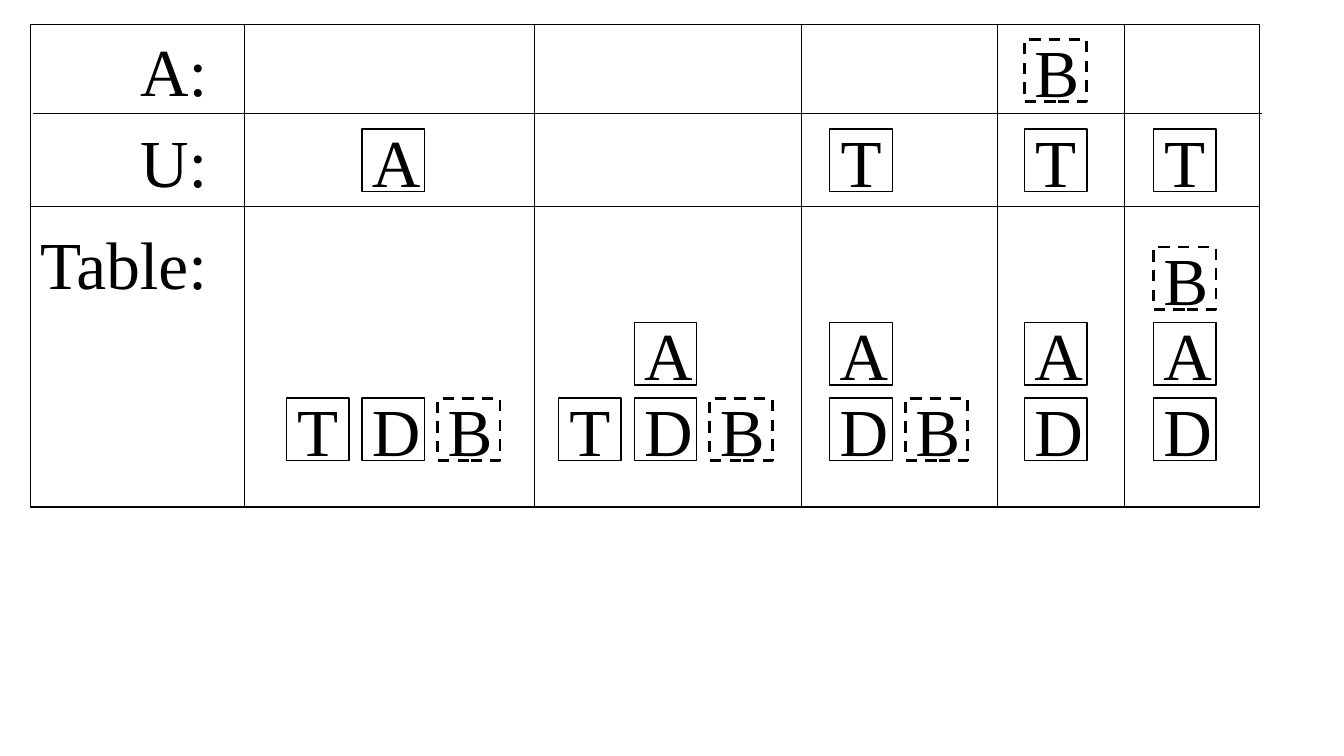
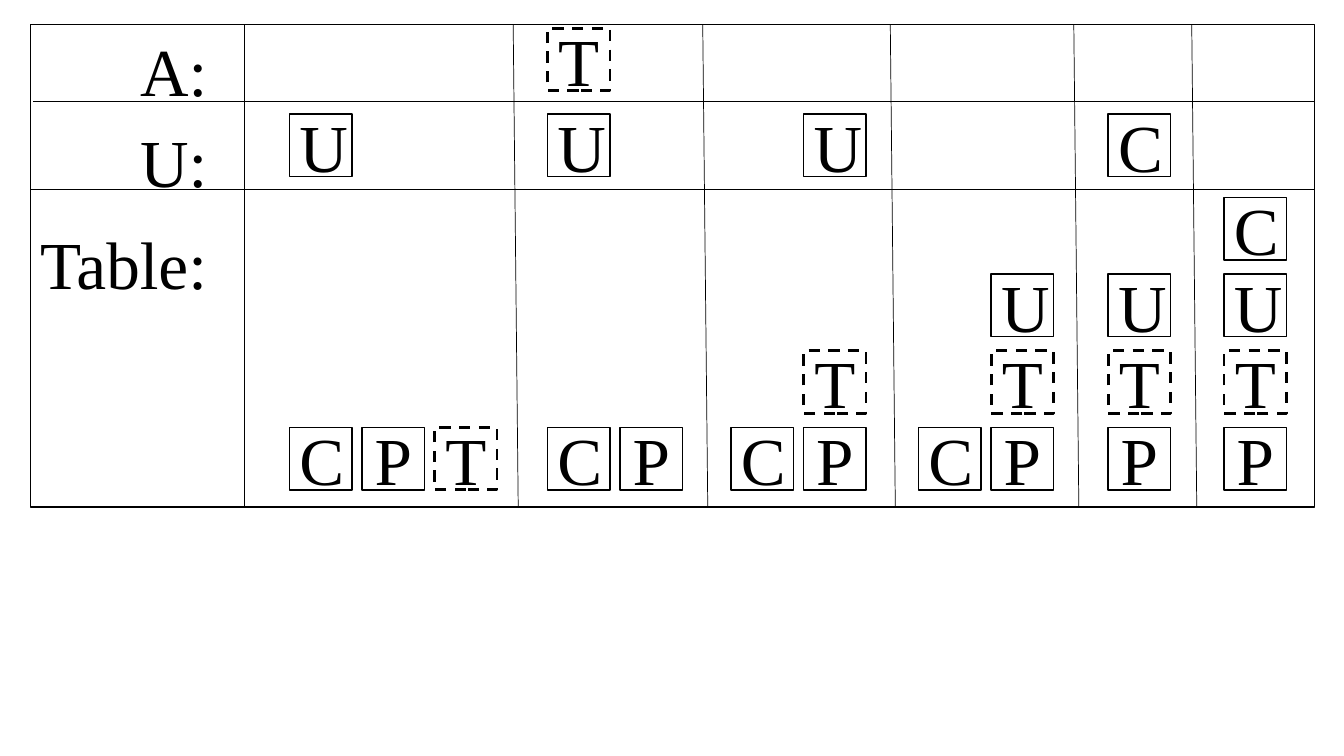
"""Two slides that show stacks of lettered blocks moving between A, U and the table."""
from dataclasses import dataclass

from lxml import etree
from pptx import Presentation
from pptx import util as u
from pptx.dml.color import RGBColor
from pptx.enum import dml, shapes, text
from pptx.oxml.ns import qn

COLORS = {"ink": "000000", "paper": "FFFFFF"}
FONT, LETTER_SIZE = "Times New Roman", 48
LEFT, TOP, HEIGHT = 0.3, 0.24, 4.79
BOTTOM = TOP + HEIGHT
BLOCK = 0.62
LABEL_COL = 2.42
LABELS = [("A:", 1.29, 0.24, 0.88), ("U:", 1.29, 1.14, 0.88), ("Table:", 0.3, 2.16, 1.87)]


@dataclass
class Stage:
    """One column: piles read bottom to top, plus the blocks held in rows U and A."""
    left: float
    piles: list
    u: str = ""
    a: str = ""
    slot: int = 0


@dataclass
class Board:
    """The rules, block spacing and stages of one slide."""
    width: float
    dividers: list
    lean: float
    a_rule: float
    a_rule_end: float
    u_rule: float
    a_top: float
    u_top: float
    base: float
    pitch: float
    rise: float
    dashed: str
    stages: list


BOARDS = [
    Board(width=12.19, dividers=[5.3, 7.95, 9.89, 11.15], lean=0,
          a_rule=1.12, a_rule_end=12.52, u_rule=2.05, a_top=0.39, u_top=1.28,
          base=3.95, pitch=0.75, rise=0.75, dashed="B",
          stages=[Stage(2.84, ["T", "D", "B"], u="A", slot=1),
                  Stage(5.54, ["T", "DA", "B"]),
                  Stage(8.23, ["DA", "B"], u="T"),
                  Stage(10.16, ["DA"], u="T", a="B"),
                  Stage(11.44, ["DAB"], u="T")]),
    Board(width=12.74, dividers=[5.09, 6.97, 8.83, 10.65, 11.82], lean=0.05,
          a_rule=1.01, a_rule_end=13.03, u_rule=1.88, a_top=0.28, u_top=1.13,
          base=4.24, pitch=0.72, rise=0.76, dashed="T",
          stages=[Stage(2.87, ["C", "P", "T"], u="U"),
                  Stage(5.43, ["C", "P"], u="U", a="T"),
                  Stage(7.25, ["C", "PT"], u="U", slot=1),
                  Stage(9.11, ["C", "PTU"]),
                  Stage(10.99, ["PTU"], u="C"),
                  Stage(12.14, ["PTUC"])]),
]


def color(name):
    """Return a named colour."""
    return RGBColor.from_string(COLORS[name])


def write(tf, words):
    """Put words in a text frame in the shared letter style."""
    tf.text = words
    font = tf.paragraphs[0].runs[0].font
    font.name, font.size = FONT, u.Pt(LETTER_SIZE)
    font.color.rgb = color("ink")


def add_box(s, x, y, w, h, dashed=False):
    """Add a white rectangle with a solid or dashed outline."""
    sp = s.shapes.add_shape(shapes.MSO_SHAPE.RECTANGLE, *map(u.Inches, (x, y, w, h)))
    sp.shadow.inherit = False
    sp.fill.solid()
    sp.fill.fore_color.rgb = color("paper")
    sp.line.color.rgb = color("ink")
    sp.line.width = u.Pt(2 if dashed else 1)
    if dashed:
        sp.line.dash_style = dml.MSO_LINE.DASH
    return sp


def add_block(s, x, y, letter, dashed):
    """Add a square block with one letter."""
    tf = add_box(s, x, y, BLOCK, BLOCK, letter == dashed).text_frame
    write(tf, letter)
    tf.vertical_anchor = text.MSO_ANCHOR.MIDDLE
    tf.paragraphs[0].alignment = text.PP_ALIGN.CENTER


def add_label(s, words, x, y, w):
    """Add a row label."""
    tf = s.shapes.add_textbox(*map(u.Inches, (x, y, w, 0.91))).text_frame
    write(tf, words)
    tf.word_wrap = False
    tf.auto_size = text.MSO_AUTO_SIZE.SHAPE_TO_FIT_TEXT


def add_rule(s, x1, y1, x2, y2):
    """Add a thin straight rule."""
    ends = map(u.Inches, (x1, y1, x2, y2))
    line = s.shapes.add_connector(shapes.MSO_CONNECTOR.STRAIGHT, *ends)
    line.line.color.rgb = color("ink")
    line.line.width = u.Pt(0.5)
    etree.SubElement(line._element.spPr, qn("a:effectLst"))


def add_stage(s, board, stage):
    """Add the piles of a stage and the blocks held above them."""
    for col, pile in enumerate(stage.piles):
        for level, letter in enumerate(pile):
            add_block(s, stage.left + col * board.pitch,
                      board.base - level * board.rise, letter, board.dashed)
    for letter, top in ((stage.u, board.u_top), (stage.a, board.a_top)):
        if letter:
            add_block(s, stage.left + stage.slot * board.pitch, top, letter, board.dashed)


def add_board(s, board):
    """Add the frame, labels, stages and rules of a slide."""
    add_box(s, LEFT, TOP, board.width, HEIGHT)
    for label in LABELS:
        add_label(s, *label)
    for stage in board.stages:
        add_stage(s, board, stage)
    add_rule(s, LEFT, board.u_rule, LEFT + board.width, board.u_rule)
    add_rule(s, 0.33, board.a_rule, board.a_rule_end, board.a_rule)
    add_rule(s, LABEL_COL, TOP, LABEL_COL, BOTTOM)
    for x in board.dividers:
        add_rule(s, x, TOP, x + board.lean, BOTTOM)


def main():
    """Build and save the slides."""
    prs = Presentation()
    prs.slide_width, prs.slide_height = u.Inches(13.33), u.Inches(7.5)
    for board in BOARDS:
        add_board(prs.slides.add_slide(prs.slide_layouts[6]), board)
    prs.save("out.pptx")


main()
